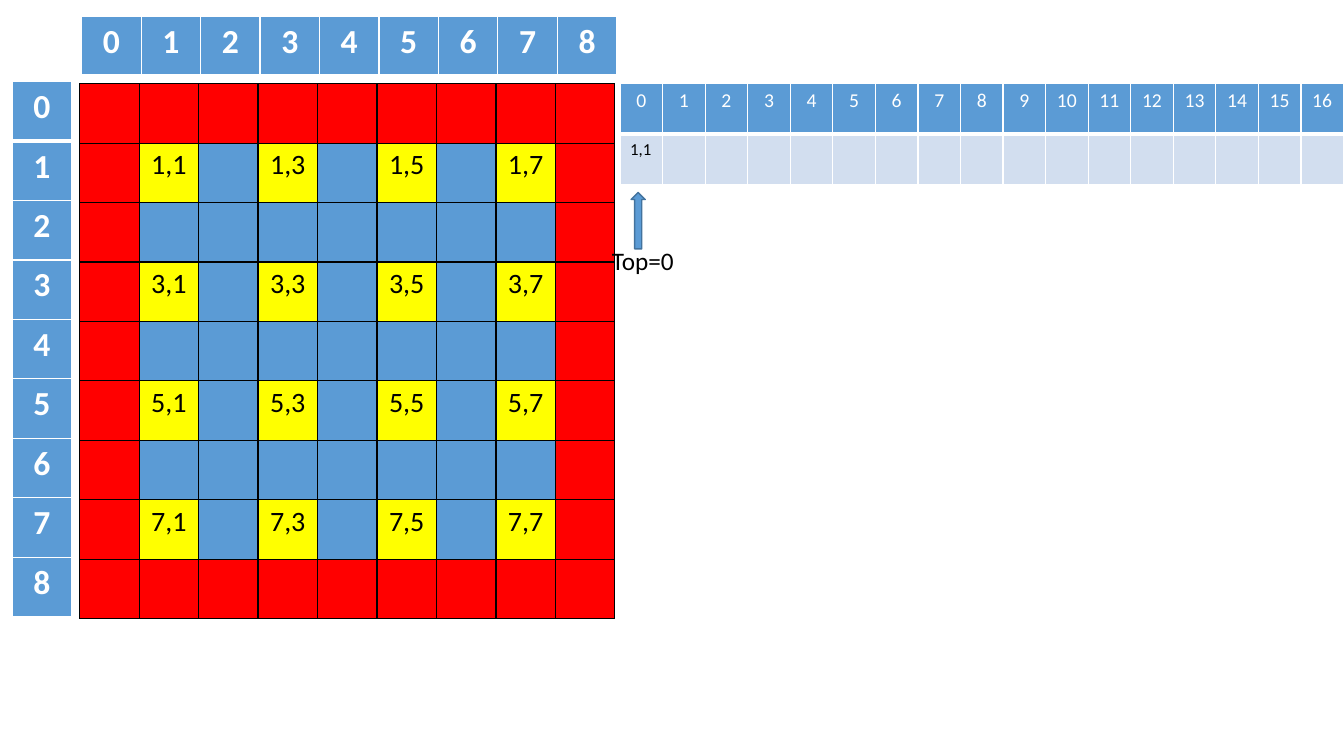
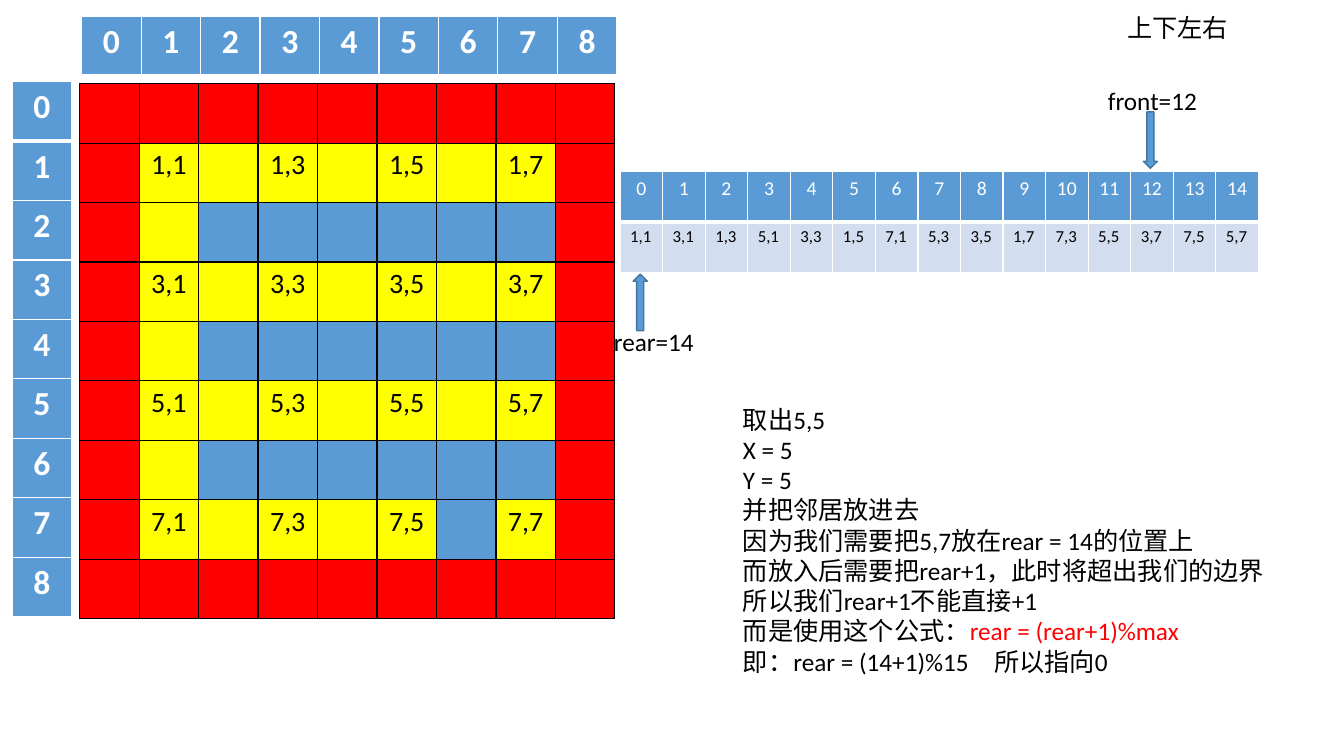
import pptx
import pptx.dml.color
import pptx.enum.shapes
import pptx.enum.text
import pptx.oxml
import pptx.oxml.ns
import pptx.util
from pptx.dml.color import RGBColor
from pptx.util import Inches

BLUE = RGBColor(0x5B, 0x9B, 0xD5)
PALE_BLUE = RGBColor(0xD2, 0xDE, 0xEF)
DARK_BLUE = RGBColor(0x43, 0x73, 0x9E)
RED = RGBColor(0xFF, 0x00, 0x00)
YELLOW = RGBColor(0xFF, 0xFF, 0x00)
WHITE = RGBColor(0xFF, 0xFF, 0xFF)
BLACK = RGBColor(0x00, 0x00, 0x00)

FONT = "Calibri"
CENTER = pptx.enum.text.PP_ALIGN.CENTER
LEFT = pptx.enum.text.PP_ALIGN.LEFT

MAZE_SIZE = 9
LAST = MAZE_SIZE - 1
CELL = 0.59
MAZE_SIDE = 5.31
SLOT_WIDTH = 0.4224
SLOT_HEIGHT = 0.5
QUEUE_LEFT = 6.15

QUEUE = ["1,1", "3,1", "1,3", "5,1", "3,3", "1,5", "7,1", "5,3",
         "3,5", "1,7", "7,3", "5,5", "3,7", "7,5", "5,7"]
EXPLANATION = [
    "取出5,5",
    "X = 5",
    "Y = 5",
    "并把邻居放进去",
    "因为我们需要把5,7放在rear = 14的位置上",
    "而放入后需要把rear+1，此时将超出我们的边界",
    "所以我们rear+1不能直接+1",
    "而是使用这个公式：rear = (rear+1)%max",
    "即：rear = (14+1)%15\u3000所以指向0",
]
FORMULA = "rear = (rear+1)%max"


def format_run(run, size, color, bold=False):
    """Set the font of one run."""
    run.font.name = FONT
    run.font.size = pptx.util.Pt(size)
    run.font.color.rgb = color
    run.font.bold = bold


def set_borders(cell, color, width, bottom_width):
    """Draw the four borders of a cell; the bottom one has its own width."""
    properties = cell._tc.get_or_add_tcPr()
    for side in ("L", "R", "T", "B"):
        points = bottom_width if side == "B" else width
        properties.append(pptx.oxml.parse_xml(
            f'<a:ln{side} {pptx.oxml.ns.nsdecls("a")} w="{pptx.util.Pt(points)}">'
            f'<a:solidFill><a:srgbClr val="{color}"/></a:solidFill></a:ln{side}>'))


def style_cell(cell, text, fill, size, color, bold=False, align=CENTER,
               border=WHITE, bottom_width=1):
    """Give a cell its borders, fill and text."""
    set_borders(cell, border, 1, bottom_width)
    cell.fill.solid()
    cell.fill.fore_color.rgb = fill
    cell.text_frame.text = text
    paragraph = cell.text_frame.paragraphs[0]
    paragraph.alignment = align
    for run in paragraph.runs:
        format_run(run, size, color, bold)


def add_plain_table(slide, rows, columns, left, top, width, height):
    """Add an evenly divided table without header or banding."""
    table = slide.shapes.add_table(rows, columns, Inches(left), Inches(top),
                                   Inches(width), Inches(height)).table
    table.first_row = False
    table.horz_banding = False
    return table


def maze_fill(row, column, opened):
    """Return the colour of a maze cell: wall, visited or closed."""
    if row in (0, LAST) or column in (0, LAST):
        return RED
    if (row % 2 and column % 2) or (row, column) in opened:
        return YELLOW
    return BLUE


def add_maze(slide, opened):
    """Add the maze with its column and row indices."""
    maze = add_plain_table(slide, MAZE_SIZE, MAZE_SIZE, 0.79, 0.83,
                           MAZE_SIDE, MAZE_SIDE)
    for row in range(MAZE_SIZE):
        for column in range(MAZE_SIZE):
            text = f"{row},{column}" if row % 2 and column % 2 else ""
            style_cell(maze.cell(row, column), text,
                       maze_fill(row, column, opened), 20, BLACK, border=BLACK)

    column_indices = add_plain_table(slide, 1, MAZE_SIZE, 0.81, 0.16,
                                     MAZE_SIDE, CELL)
    row_indices = add_plain_table(slide, MAZE_SIZE, 1, 0.12, 0.81,
                                  CELL, MAZE_SIDE)
    for index in range(MAZE_SIZE):
        style_cell(column_indices.cell(0, index), str(index), BLUE, 24, WHITE,
                   bold=True, bottom_width=3)
        style_cell(row_indices.cell(index, 0), str(index), BLUE, 24, WHITE,
                   bold=True, bottom_width=1 if index else 3)


def add_slots(slide, values, top):
    """Add the array: a row of indices above a row of values."""
    table = add_plain_table(slide, 2, len(values), QUEUE_LEFT, top,
                            SLOT_WIDTH * len(values), 2 * SLOT_HEIGHT)
    for index, value in enumerate(values):
        style_cell(table.cell(0, index), str(index), BLUE, 14, WHITE,
                   bottom_width=3)
        style_cell(table.cell(1, index), value, PALE_BLUE, 12, BLACK,
                   align=LEFT)


def add_text(shapes, lines, left, top, width, height, wrap=False,
             highlight=None):
    """Add a text box, one paragraph a line, with one phrase in red."""
    box = shapes.add_textbox(Inches(left), Inches(top), Inches(width),
                             Inches(height))
    frame = box.text_frame
    frame.word_wrap = wrap
    frame.auto_size = pptx.enum.text.MSO_AUTO_SIZE.SHAPE_TO_FIT_TEXT
    for number, line in enumerate(lines):
        paragraph = frame.add_paragraph() if number else frame.paragraphs[0]
        parts = line.partition(highlight) if highlight else (line,)
        for part in filter(None, parts):
            run = paragraph.add_run()
            run.text = part
            format_run(run, 18, RED if part == highlight else BLACK)


def add_pointer(slide, label, arrow_left, arrow_top, label_left, label_top,
                label_width, rotation=0):
    """Add a grouped arrow and label that mark one slot."""
    group = slide.shapes.add_group_shape()
    arrow = group.shapes.add_shape(
        pptx.enum.shapes.MSO_SHAPE.UP_ARROW, Inches(arrow_left),
        Inches(arrow_top), Inches(0.14), Inches(0.56))
    arrow.rotation = rotation
    arrow.shadow.inherit = False
    arrow.fill.solid()
    arrow.fill.fore_color.rgb = BLUE
    arrow.line.color.rgb = DARK_BLUE
    arrow.line.width = pptx.util.Pt(1)
    add_text(group.shapes, [label], label_left, label_top, label_width, 0.4)


def build_stack_slide(slide):
    """Show the untouched maze and the stack with its first entry."""
    add_maze(slide, opened=set())
    add_slots(slide, ["1,1"] + [""] * 16, 0.83)
    add_pointer(slide, "Top=0", 6.26, 1.91, 5.97, 2.38, 0.82)


def build_queue_slide(slide):
    """Show the opened passages and the full circular queue."""
    passages_across = {(row, column) for row in (1, 3, 5, 7)
                       for column in (2, 4, 6)} - {(7, 6)}
    passages_down = {(row, 1) for row in (2, 4, 6)}
    add_maze(slide, passages_across | passages_down)
    add_slots(slide, QUEUE, 1.7)
    add_pointer(slide, "front=12", 11.34, 1.11, 10.89, 0.8, 1.09, rotation=180)
    add_pointer(slide, "rear=14", 6.28, 2.72, 5.99, 3.19, 1)
    add_text(slide.shapes, EXPLANATION, 7.27, 3.96, 5.42, 2.83, wrap=True,
             highlight=FORMULA)
    add_text(slide.shapes, ["上下左右"], 11.08, 0.07, 1.21, 0.4)


def main():
    """Build and save the presentation."""
    presentation = pptx.Presentation()
    presentation.slide_width = Inches(13.33)
    presentation.slide_height = Inches(7.5)
    blank = presentation.slide_layouts[6]
    for build in (build_stack_slide, build_queue_slide):
        build(presentation.slides.add_slide(blank))
    presentation.save("out.pptx")


main()
